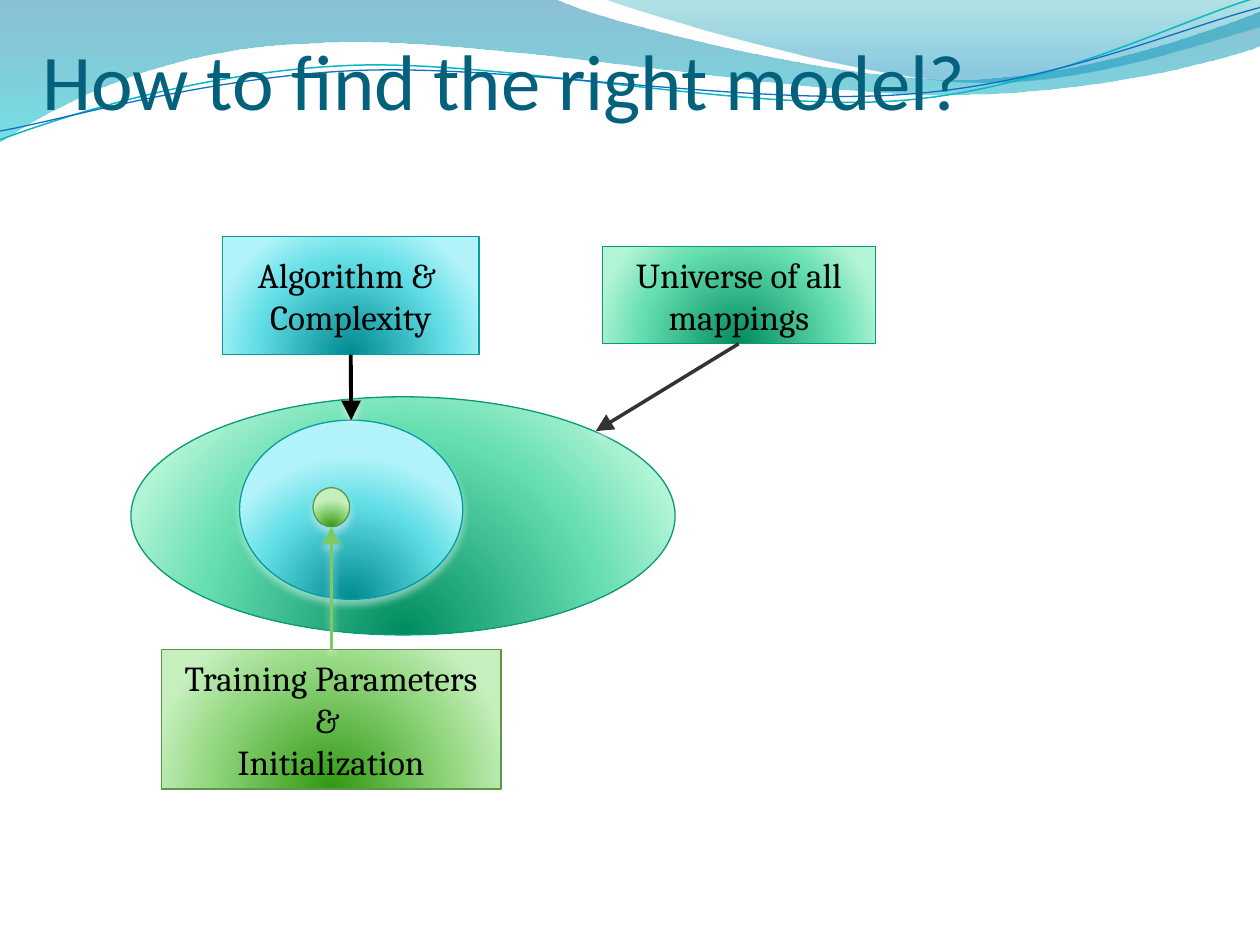
import pptx
import pptx.dml.color
import pptx.enum.shapes
import pptx.enum.text
import pptx.oxml
import pptx.oxml.ns
import pptx.util

Cm = pptx.util.Cm
Pt = pptx.util.Pt
SHAPE = pptx.enum.shapes.MSO_SHAPE
ANCHOR = pptx.enum.text.MSO_ANCHOR
ALIGN = pptx.enum.text.PP_ALIGN
rgb = pptx.dml.color.RGBColor.from_string
qn = pptx.oxml.ns.qn
NAMESPACE = pptx.oxml.ns.nsdecls("a")

RADIAL = '<a:path path="circle"><a:fillToRect l="50000" t="130000" r="50000" b="-30000"/></a:path>'
LINEAR = '<a:lin ang="5400000" scaled="0"/>'
GLOW = (
    f'<a:effectLst {NAMESPACE}><a:outerShdw blurRad="57150" dist="38100" dir="5400000" rotWithShape="0">'
    '<a:srgbClr val="FFFFFF"><a:alpha val="48000"/></a:srgbClr></a:outerShdw></a:effectLst>'
)
ARROWHEAD = f'<a:tailEnd {NAMESPACE} type="triangle" w="lg" len="lg"/>'


def set_gradient(shape, stops, direction):
    """Fill with stops of (position %, colour, opacity %)."""
    shape.fill.gradient()
    old_fill = shape.element.spPr.find(qn("a:gradFill"))
    stop_xml = "".join(
        f'<a:gs pos="{position * 1000}"><a:srgbClr val="{colour}">'
        f'<a:alpha val="{opacity * 1000}"/></a:srgbClr></a:gs>'
        for position, colour, opacity in stops
    )
    new_fill = pptx.oxml.parse_xml(
        f'<a:gradFill {NAMESPACE} rotWithShape="1"><a:gsLst>{stop_xml}</a:gsLst>{direction}</a:gradFill>'
    )
    old_fill.getparent().replace(old_fill, new_fill)


def add_glowing_shape(kind, box, palette):
    dark, middle, light, outline = palette
    shape = slide.shapes.add_shape(kind, *map(Cm, box))
    set_gradient(shape, [(0, dark, 100), (68, middle, 100), (100, light, 100)], RADIAL)
    shape.line.color.rgb = rgb(outline)
    shape.line.width = Pt(0.75)
    shape.element.spPr.append(pptx.oxml.parse_xml(GLOW))
    return shape


presentation = pptx.Presentation()
presentation.slide_width, presentation.slide_height = Cm(25.4), Cm(19.05)
slide = presentation.slides.add_slide(presentation.slide_layouts[5])

# Waves along the top: start point, then segments of one end point or three
# Bézier points, in hundredths of 2.54 cm; then gradient stops or a line style
waves = [
    ((0, 0), [(440, -1), (476, 17, 664, 63, 758, 63), (853, 63, 958, 26, 1000, 9), (1001, 36),
              (983, 44, 870, 76, 746, 75), (622, 75, 382, 28, 257, 34), (129, 36, 46, 83, -1, 113)],
     [(0, "0074A1", 45), (100, "00C6CF", 55)], None),
    ((479, -1), [(509, 11, 682, 62, 769, 65), (856, 69, 961, 32, 1000, 21), (1000, 0)],
     [(0, "00A1A9", 30), (80, "008BBF", 45)], None),
    ((0, 111), [(48, 93, 158, 57, 277, 52), (395, 47, 593, 89, 713, 80), (833, 71, 938, 15, 998, -2)],
     None, ("0AB8BF", 0.85)),
    ((0, 104), [(47, 96, 164, 61, 283, 56), (403, 51, 597, 84, 717, 75), (836, 67, 941, 21, 1000, 6)],
     None, ("0F6FC6", 0.75)),
]
for start, segments, stops, line_style in waves:
    points = [point for segment in segments for point in zip(segment[::2], segment[1::2])]
    builder = slide.shapes.build_freeform(*start, scale=Cm(2.54) / 100)
    builder.add_line_segments(points, close=stops is not None)
    wave = builder.convert_to_shape()
    wave.shadow.inherit = False

    # Join each three straight steps of a Bézier segment into one curve
    steps = iter(list(wave.element.iter(qn("a:lnTo"))))
    for segment in segments:
        first = next(steps)
        if len(segment) == 6:
            curve = pptx.oxml.parse_xml(f"<a:cubicBezTo {NAMESPACE}/>")
            first.addprevious(curve)
            for step in (first, next(steps), next(steps)):
                curve.append(step[0])
                step.getparent().remove(step)

    if stops:
        set_gradient(wave, stops, LINEAR)
        wave.line.fill.background()
    else:
        colour, width = line_style
        wave.fill.background()
        wave.line.color.rgb = rgb(colour)
        wave.line.width = Pt(width)

# Nested sets: dark, middle, light and outline colours
universe_palette = ("008C60", "65DEB0", "B2F4D6", "0A9B74")
algorithm_palette = ("008A91", "64DFE7", "B1F3F9", "069CA3")
training_palette = ("319811", "95D882", "C6EFBD", "5B9747")
for box, palette in [
    ((2.64, 8, 10.97, 4.8), universe_palette),
    ((4.83, 8.47, 4.5, 3.61), algorithm_palette),
    ((6.31, 9.83, 0.74, 0.79), training_palette),
]:
    add_glowing_shape(SHAPE.OVAL, box, palette)

title = slide.shapes.title
title.element.getparent().append(title.element)
title.left, title.top, title.width, title.height = Cm(0.85), Cm(0.43), Cm(20.96), Cm(2.11)
frame = title.text_frame
frame.text = "How to find the right model?"
frame.auto_size = pptx.enum.text.MSO_AUTO_SIZE.NONE
frame.vertical_anchor = ANCHOR.BOTTOM
frame.margin_left = frame.margin_right = frame.margin_bottom = 0
frame.margin_top = Cm(0.13)
paragraph = frame.paragraphs[0]
paragraph.alignment = ALIGN.LEFT
font = paragraph.runs[0].font
font.name, font.size = "Calibri", Pt(45)
font.color.rgb = rgb("04617B")

# Labels
for box, palette, text in [
    ((4.48, 4.77, 5.18, 2.38), algorithm_palette, "Algorithm & \nComplexity"),
    ((3.25, 13.1, 6.85, 2.81), training_palette, "Training Parameters & \nInitialization"),
    ((12.14, 4.97, 5.51, 1.96), universe_palette, "Universe of all mappings"),
]:
    label = add_glowing_shape(SHAPE.RECTANGLE, box, palette)
    frame = label.text_frame
    frame.text = text
    frame.word_wrap = True
    frame.vertical_anchor = ANCHOR.MIDDLE
    for paragraph in frame.paragraphs:
        paragraph.alignment = ALIGN.CENTER
        font = paragraph.runs[0].font
        font.name, font.size = "Cambria", Pt(20)
        font.color.rgb = rgb("000000")

# Arrows from the labels to their sets
for ends, colour, width in [
    ((7.07, 7.15, 7.08, 8.47), "000000", 2.25),
    ((6.68, 13.1, 6.68, 10.62), "7CCA62", 2),
    ((14.89, 6.93, 12.01, 8.69), "333333", 2),
]:
    arrow = slide.shapes.add_connector(pptx.enum.shapes.MSO_CONNECTOR.STRAIGHT, *map(Cm, ends))
    arrow.line.color.rgb = rgb(colour)
    arrow.line.width = Pt(width)
    properties = arrow.element.spPr
    properties.find(qn("a:ln")).append(pptx.oxml.parse_xml(ARROWHEAD))
    properties.append(pptx.oxml.parse_xml(GLOW))

presentation.save("out.pptx")
